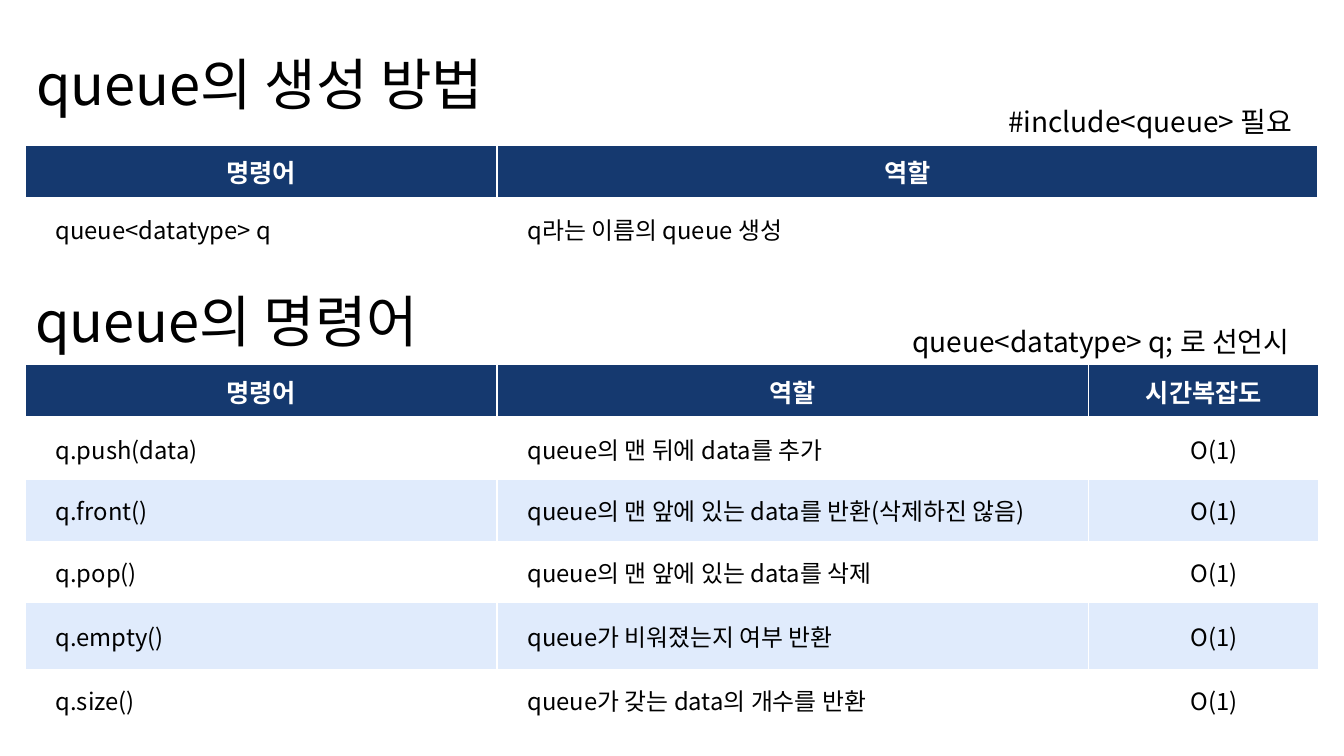
"""Build a slide that lists how a queue is created and which commands it has."""
from lxml.etree import SubElement
from pptx import Presentation
from pptx.dml.color import RGBColor
from pptx.enum.text import MSO_ANCHOR, MSO_AUTO_SIZE, PP_ALIGN
from pptx.oxml.ns import qn
from pptx.util import Inches, Pt

FONT = "Noto Sans CJK KR"
NAVY, PALE, WHITE, BLACK = "15396F", "E0EBFC", "FFFFFF", "000000"
LEFT = 0.25
TITLE = ("queue의 생성 방법", 0.26, 0.44, 5.99, 0.77, 40)
LABELS = [
    ("#include<queue> 필요", 9.9, 0.99, 3.18, 0.43, 20),
    ("queue<datatype> q; 로 선언시", 8.95, 3.17, 4.12, 0.43, 20),
    ("queue의 명령어", LEFT, 2.79, 5.99, 0.77, 40),
]
CREATION = [
    ("명령어", "역할"),
    ("queue<datatype> q", "q라는 이름의 queue 생성"),
]
COMMANDS = [
    ("명령어", "역할", "시간복잡도"),
    ("q.push(data)", "queue의 맨 뒤에 data를 추가", "O(1)"),
    ("q.front()", "queue의 맨 앞에 있는 data를 반환(삭제하진 않음)", "O(1)"),
    ("q.pop()", "queue의 맨 앞에 있는 data를 삭제", "O(1)"),
    ("q.empty()", "queue가 비워졌는지 여부 반환", "O(1)"),
    ("q.size()", "queue가 갖는 data의 개수를 반환", "O(1)"),
]
TABLES = [
    (CREATION, 1.44, [4.68, 8.14], [0.53, 0.61]),
    (COMMANDS, 3.62, [4.68, 5.87, 2.28], [0.53, 0.61, 0.61, 0.61, 0.66, 0.61]),
]


def color(value):
    return RGBColor.from_string(value)


def format_paragraph(paragraph, size, ink, bold=False, align=PP_ALIGN.LEFT):
    paragraph.alignment = align
    for run in paragraph.runs:
        run.font.size = Pt(size)
        run.font.bold = bold
        run.font.name = FONT
        run.font.color.rgb = color(ink)
        SubElement(run.font._element, qn("a:ea"), typeface=FONT)


def fill_text(shape, text, left, top, width, height, size):
    shape.left, shape.top = Inches(left), Inches(top)
    shape.width, shape.height = Inches(width), Inches(height)
    frame = shape.text_frame
    frame.text = text
    frame.word_wrap = True
    frame.auto_size = MSO_AUTO_SIZE.SHAPE_TO_FIT_TEXT
    frame.vertical_anchor = MSO_ANCHOR.TOP
    format_paragraph(frame.paragraphs[0], size, BLACK)


def add_borders(cell, bottom):
    properties = cell._tc.get_or_add_tcPr()
    widths = {"a:lnL": 1, "a:lnR": 1, "a:lnT": 1, "a:lnB": bottom}
    for position, (tag, width) in enumerate(widths.items()):
        line = SubElement(properties, qn(tag), w=str(Pt(width)))
        fill = SubElement(line, qn("a:solidFill"))
        SubElement(fill, qn("a:srgbClr"), val=WHITE)
        properties.insert(position, line)


def format_cell(cell, text, row, column):
    header = row == 0
    cell.text = text
    cell.vertical_anchor = MSO_ANCHOR.MIDDLE
    cell.fill.solid()
    cell.fill.fore_color.rgb = color(NAVY if header else WHITE if row % 2 else PALE)
    add_borders(cell, 3 if header else 1)
    paragraph = cell.text_frame.paragraphs[0]
    align = PP_ALIGN.CENTER if header or column == 2 else PP_ALIGN.LEFT
    if header:
        format_paragraph(paragraph, 18, WHITE, True, align)
    else:
        format_paragraph(paragraph, 17, BLACK, False, align)
        properties = paragraph._p.get_or_add_pPr()
        properties.set("marL", str(Inches(0.2)))
        properties.set("indent", "0")


def add_command_table(slide, rows, top, widths, heights):
    frame = slide.shapes.add_table(
        len(rows), len(widths), Inches(LEFT), Inches(top),
        Inches(sum(widths)), Inches(sum(heights)))
    table = frame.table
    for column, width in zip(table.columns, widths):
        column.width = Inches(width)
    for table_row, height in zip(table.rows, heights):
        table_row.height = Inches(height)
    for row, texts in enumerate(rows):
        for column, text in enumerate(texts):
            format_cell(table.cell(row, column), text, row, column)


def main():
    presentation = Presentation()
    presentation.slide_width, presentation.slide_height = Inches(13.33), Inches(7.5)
    slide = presentation.slides.add_slide(presentation.slide_layouts[5])
    fill_text(slide.shapes.title, *TITLE)
    for text, *place in LABELS:
        box = slide.shapes.add_textbox(0, 0, 0, 0)
        fill_text(box, text, *place)
    for table in TABLES:
        add_command_table(slide, *table)
    presentation.save("out.pptx")


if __name__ == "__main__":
    main()
